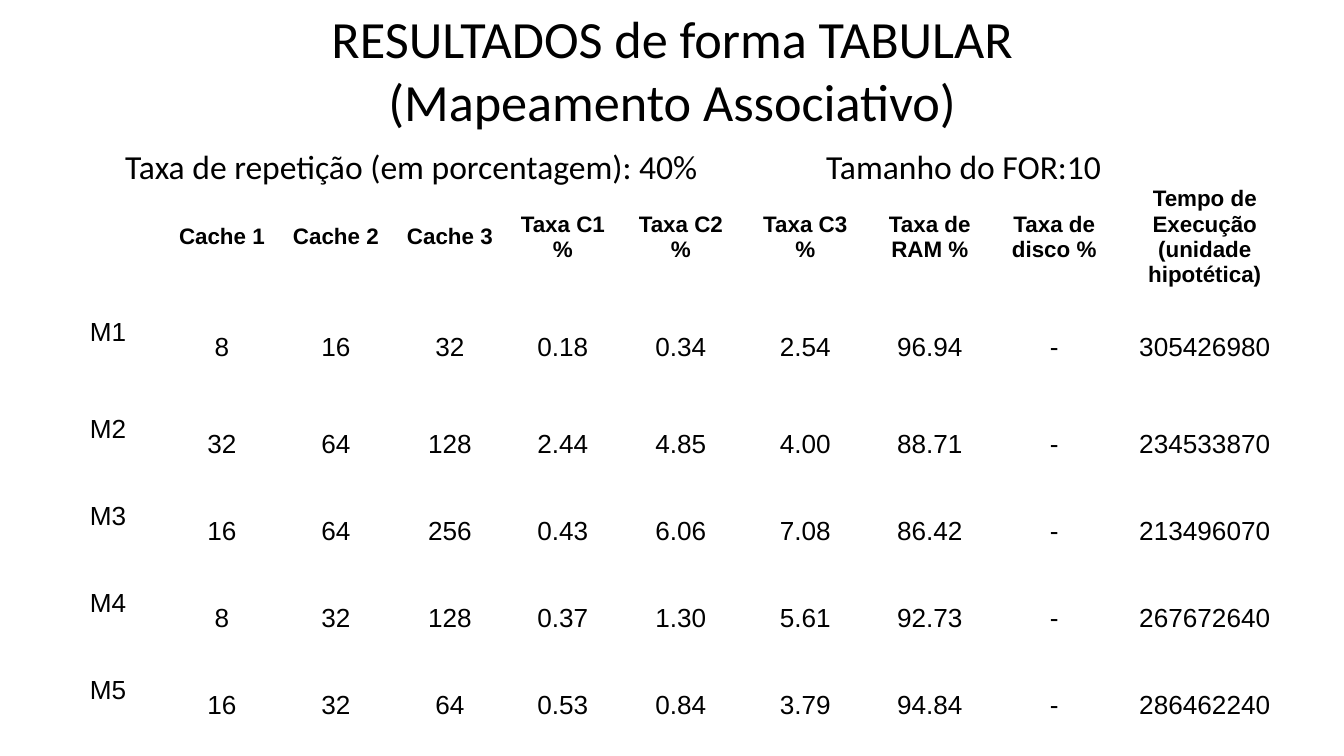
from pptx import Presentation, util as u
from pptx.dml.color import RGBColor
from pptx.enum import text
from pptx.oxml import parse_xml
from pptx.oxml.ns import nsdecls, qn

PX = 914400 / 134.4
INK = "000000"
NO_STYLE_NO_GRID = "{2D5ABB26-0587-4C30-8999-92F81FD0307C}"


def px(length):
    return u.Emu(round(length * PX))


def colour(value):
    return RGBColor.from_string(value)


class SlideBuilder:
    """Holds the style and the current slide."""
    heading_font = "Calibri"
    table_font = "Arial"

    def __init__(self, page):
        self.page = page

    def style(self, frame, size, font, bold=False, align=None):
        for para in frame.paragraphs:
            para.alignment = align
            for span in para.runs:
                span.font.size = u.Pt(size)
                span.font.name = font
                span.font.bold = bold
                span.font.color.rgb = colour(INK)

    def title(self, words, left, top, width, height):
        box = self.page.shapes.title
        box.left, box.top, box.width, box.height = map(px, (left, top, width, height))
        frame = box.text_frame
        frame.text = words
        frame.auto_size = text.MSO_AUTO_SIZE.NONE
        frame.vertical_anchor = text.MSO_ANCHOR.MIDDLE
        self.style(frame, 28, self.heading_font, align=text.PP_ALIGN.CENTER)

    def tabbed_line(self, parts, tab, left, top, width, height):
        box = self.page.shapes.add_textbox(*map(px, (left, top, width, height)))
        frame = box.text_frame
        frame.word_wrap = True
        para = frame.paragraphs[0]
        para.text = "\t".join(parts)
        stops = parse_xml(f'<a:tabLst {nsdecls("a")}><a:tab pos="{px(tab)}" algn="l"/></a:tabLst>')
        para._p.get_or_add_pPr().append(stops)
        self.style(frame, 18, self.heading_font)

    def table(self, rows, widths, heights, left, top):
        frame = self.page.shapes.add_table(
            len(rows), len(widths), px(left), px(top), px(sum(widths)), px(sum(heights)))
        table = frame.table
        table.first_row = table.horz_banding = False
        # A style without borders leaves the line above uncovered
        table._tbl.tblPr.find(qn("a:tableStyleId")).text = NO_STYLE_NO_GRID
        for column, width in zip(table.columns, widths):
            column.width = px(width)
        for row, height in zip(table.rows, heights):
            row.height = px(height)
        for i, values in enumerate(rows):
            for j, value in enumerate(values):
                self.cell(table.cell(i, j), value, header=i == 0, label=j == 0)

    def cell(self, cell, value, header, label):
        cell.fill.background()
        cell.vertical_anchor = text.MSO_ANCHOR.MIDDLE
        cell.margin_left = cell.margin_right = px(13)
        cell.margin_top = cell.margin_bottom = px(3 if header else 5)
        if label and not header:
            # Row labels sit a little above the middle
            cell.margin_bottom = px(35)
        cell.text_frame.text = value
        self.style(cell.text_frame, 12 if header else 14, self.table_font,
                   bold=header, align=text.PP_ALIGN.CENTER)


HEADER = ["", "Cache 1", "Cache 2", "Cache 3", "Taxa C1\n%", "Taxa C2\n%", "Taxa C3\n%",
          "Taxa de RAM %", "Taxa de disco %", "Tempo de Execução\n(unidade hipotética)"]
RESULTS = [
    ["M1", "8", "16", "32", "0.18", "0.34", "2.54", "96.94", "-", "305426980"],
    ["M2", "32", "64", "128", "2.44", "4.85", "4.00", "88.71", "-", "234533870"],
    ["M3", "16", "64", "256", "0.43", "6.06", "7.08", "86.42", "-", "213496070"],
    ["M4", "8", "32", "128", "0.37", "1.30", "5.61", "92.73", "-", "267672640"],
    ["M5", "16", "32", "64", "0.53", "0.84", "3.79", "94.84", "-", "286462240"],
]


def main():
    deck = Presentation()
    deck.slide_width, deck.slide_height = px(1344), px(756)
    builder = SlideBuilder(deck.slides.add_slide(deck.slide_layouts[5]))

    # Title and test parameters
    builder.title("RESULTADOS de forma TABULAR\v(Mapeamento Associativo)", 137, 16, 1070, 106)
    builder.tabbed_line(["Taxa de repetição (em porcentagem): 40%", "Tamanho do FOR:10"],
                        701, 112, 139, 1192, 40)

    # Results table
    widths = [114] * 4 + [112, 124, 125, 124, 125, 176]
    heights = [98, 107] + [87] * 4
    builder.table([HEADER] + RESULTS, widths, heights, 51, 180)

    deck.save("out.pptx")


if __name__ == "__main__":
    main()
